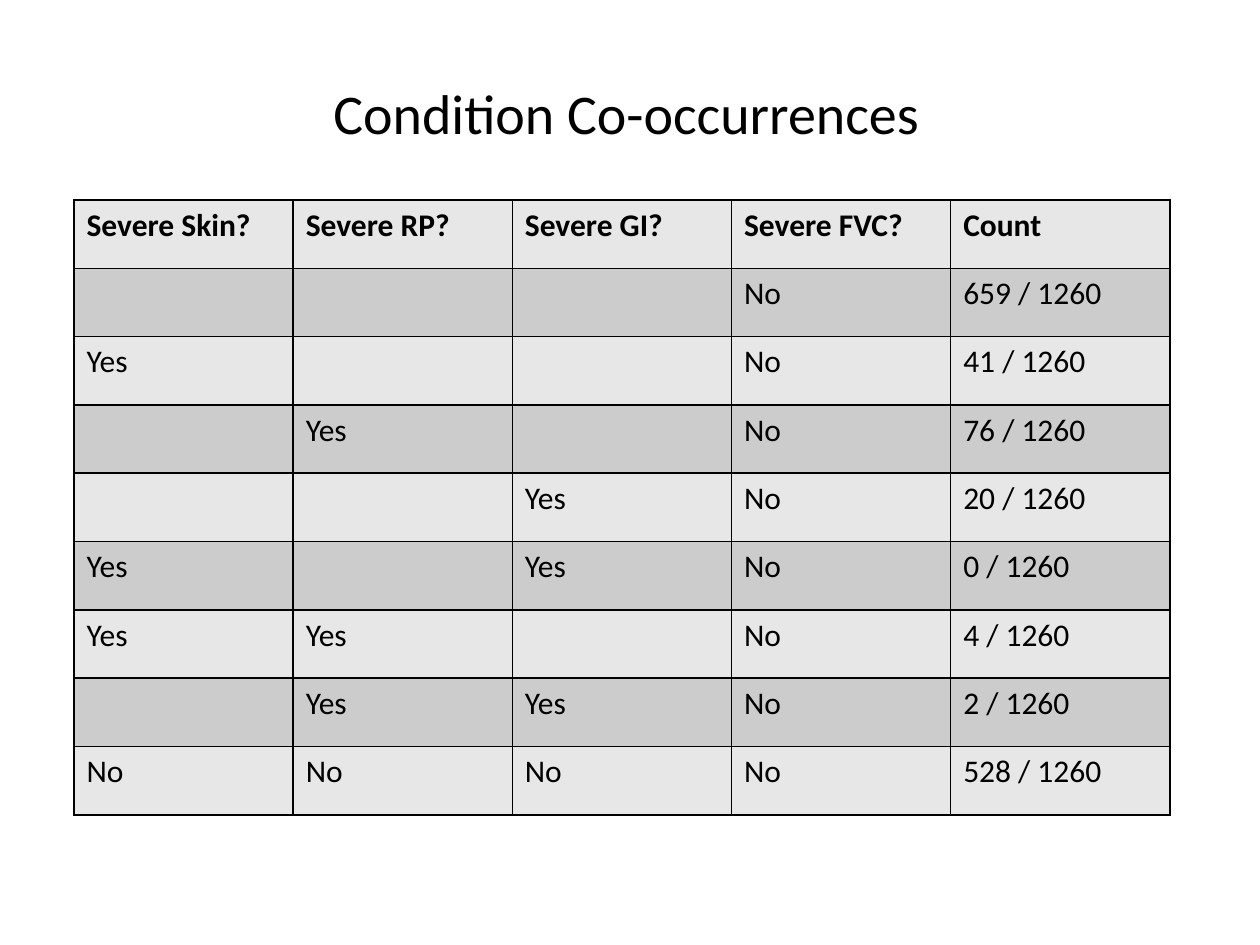
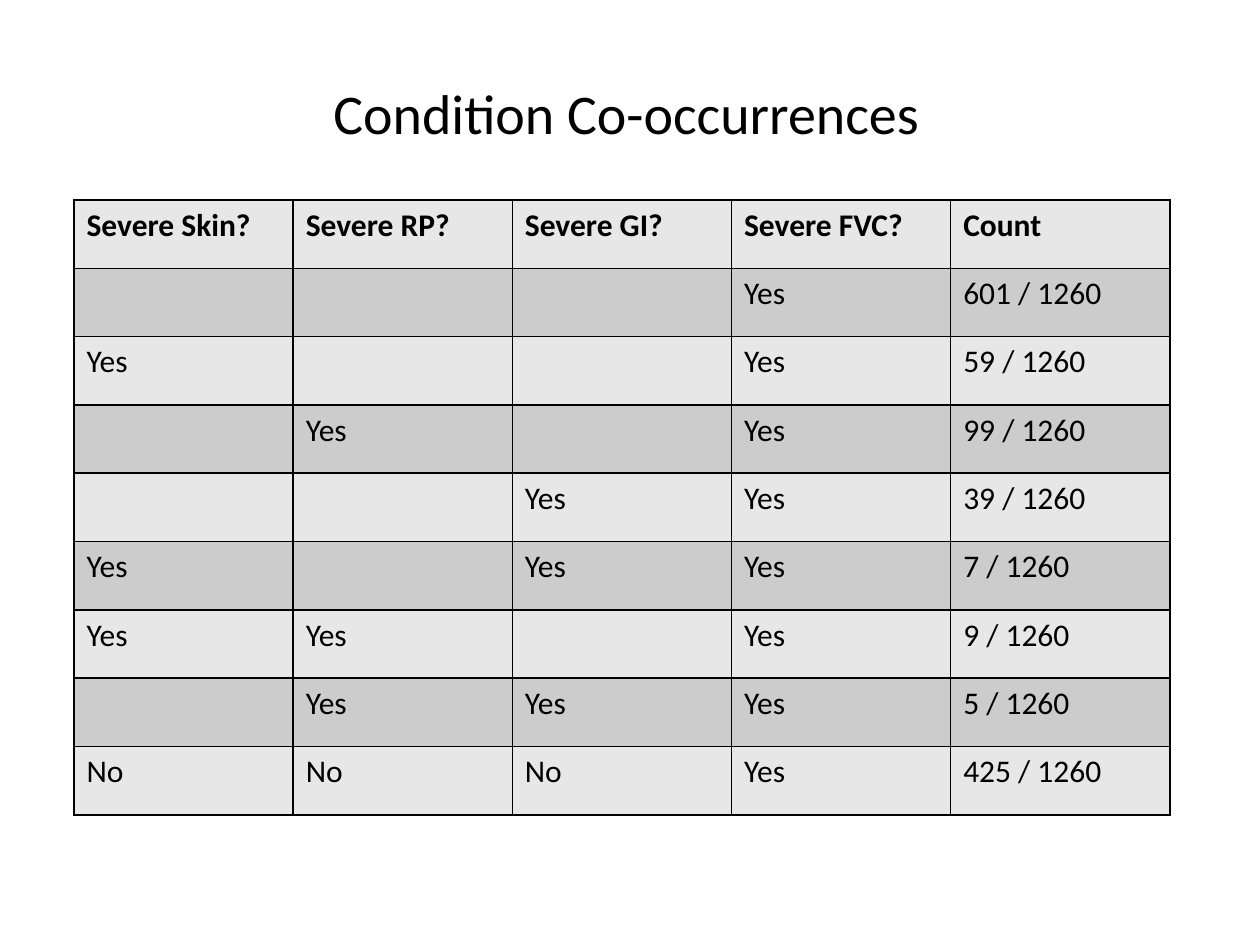
from lxml.etree import SubElement
from pptx import Presentation
from pptx.dml.color import RGBColor
from pptx.enum.text import MSO_AUTO_SIZE, PP_ALIGN
from pptx.oxml.ns import qn
from pptx.util import Emu, Pt

# Content
TITLE = "Condition Co-occurrences"
HEADINGS = ["Severe Skin?", "Severe RP?", "Severe GI?", "Severe FVC?", "Count"]
CONDITIONS = [  # skin, RP, GI
    ("", "", ""),
    ("Yes", "", ""),
    ("", "Yes", ""),
    ("", "", "Yes"),
    ("Yes", "", "Yes"),
    ("Yes", "Yes", ""),
    ("", "Yes", "Yes"),
    ("No", "No", "No"),
]
PATIENTS = 1260
COUNTS_BY_FVC = {
    "No": [659, 41, 76, 20, 0, 4, 2, 528],
    "Yes": [601, 59, 99, 39, 7, 9, 5, 425],
}

# Shared style, lengths in px
COLORS = {"text": "000000", "border": "000000", "light": "E7E7E7", "dark": "CCCCCC"}
FONT = "Calibri"
PX_PER_INCH = 126
SLIDE_SIZE = (1260, 945)
TITLE_BOX = (186, 72, 881, 81)
TABLE_BOX = (74, 200, 1096, 615)


def px(length):
    return Emu(round(length * 914400 / PX_PER_INCH))


def style_text(paragraph, size, bold=False):
    font = paragraph.font
    for target in [font] + [run.font for run in paragraph.runs]:
        target.name = FONT
        target.size = Pt(size)
        target.bold = bold
        target.color.rgb = RGBColor.from_string(COLORS["text"])


def add_borders(cell):
    properties = cell._tc.get_or_add_tcPr()
    for side in ("a:lnL", "a:lnR", "a:lnT", "a:lnB"):
        border = SubElement(properties, qn(side), w=str(Pt(1)))
        fill = SubElement(border, qn("a:solidFill"))
        SubElement(fill, qn("a:srgbClr"), val=COLORS["border"])


def add_title(slide):
    frame = slide.shapes.add_textbox(*map(px, TITLE_BOX)).text_frame
    frame.word_wrap = True
    frame.auto_size = MSO_AUTO_SIZE.SHAPE_TO_FIT_TEXT
    frame.text = TITLE
    frame.paragraphs[0].alignment = PP_ALIGN.CENTER
    style_text(frame.paragraphs[0], 32)


def add_count_table(slide, rows):
    table = slide.shapes.add_table(
        len(rows), len(HEADINGS), *map(px, TABLE_BOX)).table
    for row_index, row in enumerate(rows):
        shade = COLORS["dark" if row_index % 2 else "light"]
        for column_index, entry in enumerate(row):
            cell = table.cell(row_index, column_index)
            cell.text = entry
            style_text(cell.text_frame.paragraphs[0], 18, bold=row_index == 0)
            add_borders(cell)
            cell.fill.solid()
            cell.fill.fore_color.rgb = RGBColor.from_string(shade)


def main():
    deck = Presentation()
    deck.slide_width, deck.slide_height = map(px, SLIDE_SIZE)

    # One slide for each FVC answer
    for fvc, counts in COUNTS_BY_FVC.items():
        slide = deck.slides.add_slide(deck.slide_layouts[6])
        rows = [HEADINGS] + [
            [*conditions, fvc, f"{count} / {PATIENTS}"]
            for conditions, count in zip(CONDITIONS, counts)
        ]
        add_count_table(slide, rows)
        add_title(slide)

    deck.save("out.pptx")


if __name__ == "__main__":
    main()
